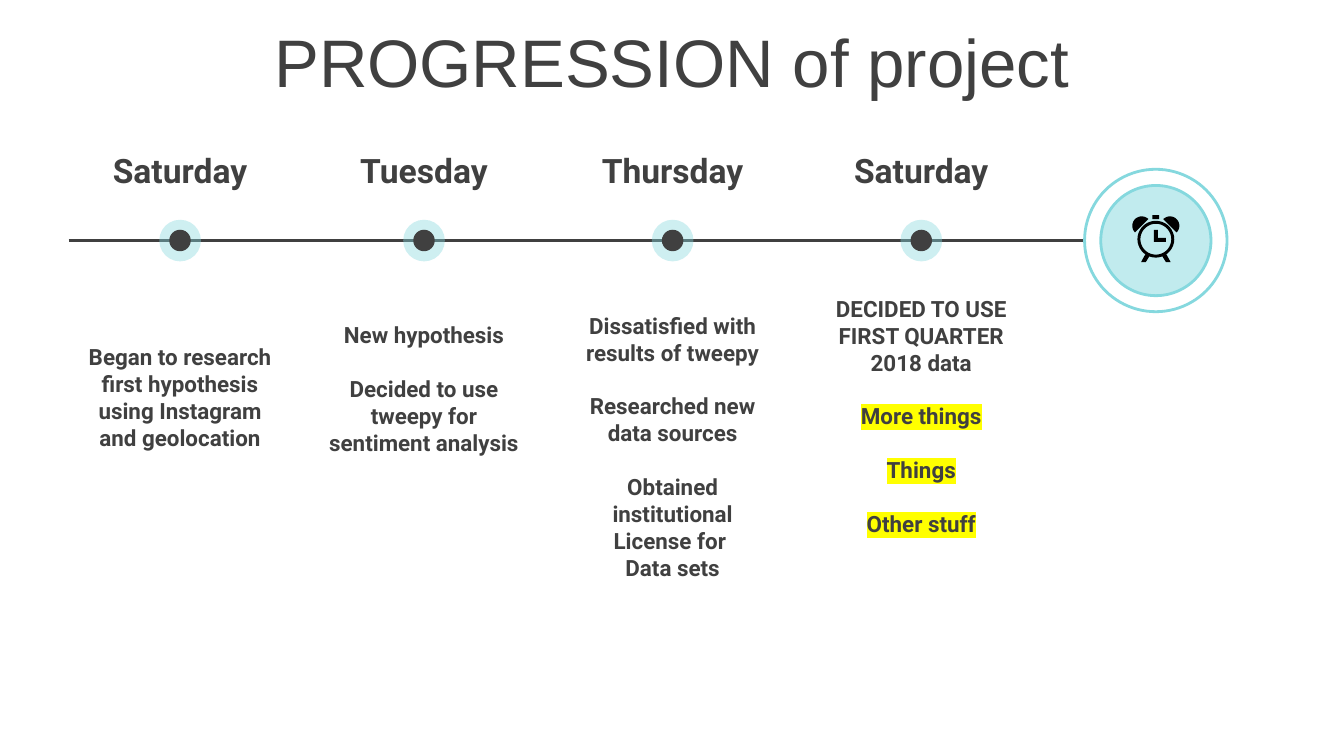
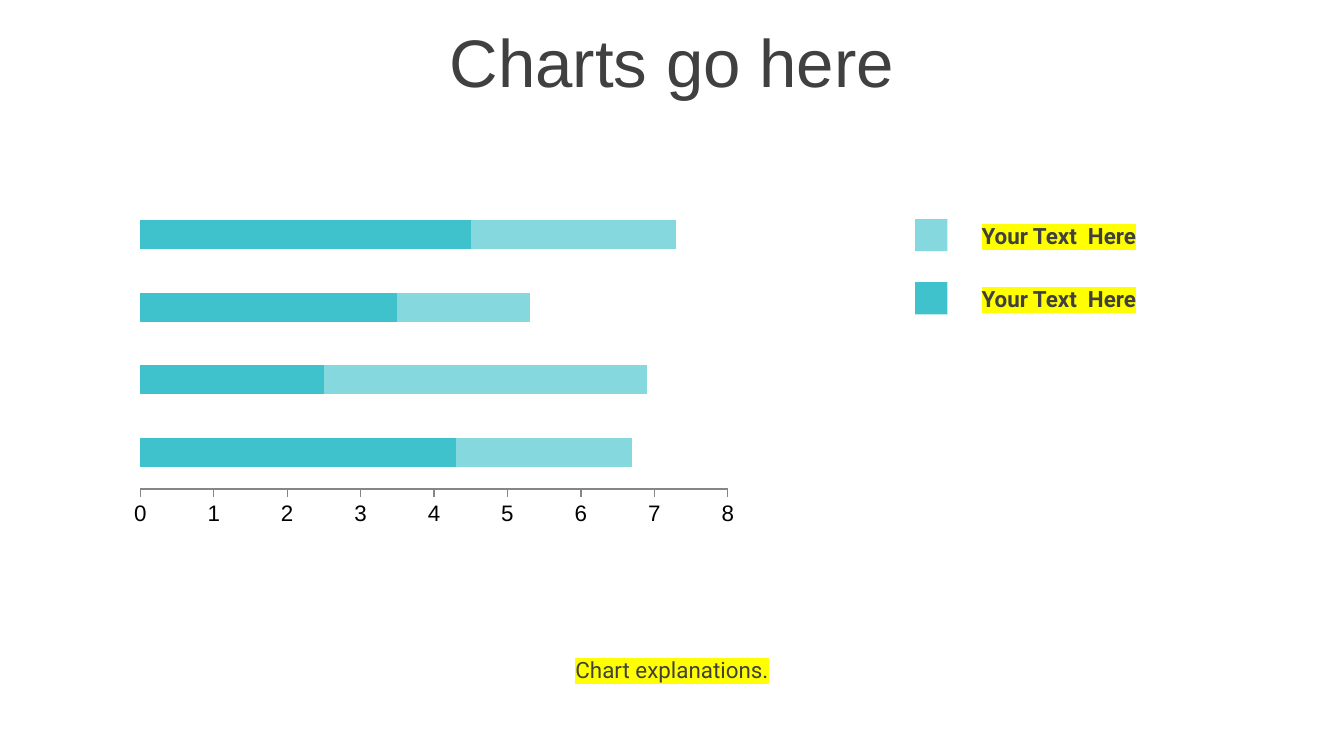
from dataclasses import dataclass
from math import cos, radians, sin

from lxml.etree import SubElement
from pptx import Presentation
from pptx.chart.data import CategoryChartData
from pptx.dml.color import RGBColor
from pptx.enum.chart import XL_CHART_TYPE, XL_TICK_MARK
from pptx.enum.shapes import MSO_CONNECTOR, MSO_SHAPE
from pptx.enum.text import MSO_ANCHOR, MSO_AUTO_SIZE, PP_ALIGN
from pptx.oxml.ns import qn
from pptx.util import Inches, Pt


@dataclass(frozen=True)
class Theme:
    ink: str = "404040"
    light: str = "85D8DE"
    strong: str = "3FC2CB"
    paper: str = "FFFFFF"
    icon: str = "000000"
    axis: str = "868686"
    marker: str = "FFFF00"
    title_font: str = "Arial"
    text_font: str = "Roboto"
    title_size: int = 36
    heading_size: int = 18
    text_size: int = 12
    blank_line: float = 14.4


def rgb(color):
    return RGBColor.from_string(color)


def grid(*cells):
    return [Inches(cell / 10) for cell in cells]


def arc(center_x, center_y, radius, start=0, end=360):
    angles = [radians(start + (end - start) * step / 36) for step in range(37)]
    return [(center_x + radius * cos(a), center_y + radius * sin(a)) for a in angles]


class Composer:
    """Draws styled elements on the current slide, on a grid of 100 columns and 56.25 rows."""

    def __init__(self, theme):
        self.theme = theme
        self.deck = Presentation()
        self.deck.slide_width, self.deck.slide_height = grid(100, 56.25)
        self.page = None

    def new_page(self, title):
        self.page = self.deck.slides.add_slide(self.deck.slide_layouts[5])
        box = self.page.shapes.title
        box.left, box.top, box.width, box.height = grid(0, 1.35, 100, 6.3)
        frame = box.text_frame
        frame.text = title
        frame.auto_size = MSO_AUTO_SIZE.NONE
        frame.vertical_anchor = MSO_ANCHOR.MIDDLE
        para = frame.paragraphs[0]
        para.alignment = PP_ALIGN.CENTER
        self.style(para.font, self.theme.title_size, self.theme.title_font)

    def style(self, font, size, name, bold=False, color=None):
        font.size, font.name, font.bold = Pt(size), name, bold
        font.color.rgb = rgb(color or self.theme.ink)

    def text(self, area, lines, size=None, bold=True, align=PP_ALIGN.CENTER, marked=(), spaced=()):
        frame = self.page.shapes.add_textbox(*grid(*area)).text_frame
        frame.word_wrap = True
        frame.vertical_anchor = MSO_ANCHOR.MIDDLE
        for index, line in enumerate(lines):
            para = frame.paragraphs[0] if index == 0 else frame.add_paragraph()
            para.alignment = align
            if index in spaced:
                para.space_before = Pt(self.theme.blank_line)
            self.style(para.font, size or self.theme.text_size, self.theme.text_font, bold)
            span = para.add_run()
            span.text = line
            if index in marked:
                highlight = SubElement(span._r.get_or_add_rPr(), qn("a:highlight"))
                SubElement(highlight, qn("a:srgbClr")).set("val", self.theme.marker)

    def paint(self, shape, fill, outline=None, opacity=100):
        shape.shadow.inherit = False
        shape.fill.solid()
        shape.fill.fore_color.rgb = rgb(fill)
        if opacity < 100:
            color = shape._element.spPr.find(f"{qn('a:solidFill')}/{qn('a:srgbClr')}")
            SubElement(color, qn("a:alpha")).set("val", str(opacity * 1000))
        if outline:
            shape.line.color.rgb = rgb(outline)
            shape.line.width = Pt(1.5)
        else:
            shape.line.fill.background()

    def square(self, left, top, side, fill):
        box = self.page.shapes.add_shape(MSO_SHAPE.RECTANGLE, *grid(left, top, side, side))
        self.paint(box, fill)

    def disc(self, center_x, center_y, size, fill, outline=None, opacity=100):
        area = grid(center_x - size / 2, center_y - size / 2, size, size)
        self.paint(self.page.shapes.add_shape(MSO_SHAPE.OVAL, *area), fill, outline, opacity)

    def line(self, start, end, row):
        ends = grid(start, row, end, row)
        line = self.page.shapes.add_connector(MSO_CONNECTOR.STRAIGHT, *ends)
        line.line.color.rgb = rgb(self.theme.ink)
        line.line.width = Pt(2)
        SubElement(line._element.spPr, qn("a:effectLst"))

    def outline(self, contours, fill):
        contours = [[grid(*point) for point in contour] for contour in contours]
        builder = self.page.shapes.build_freeform(*contours[0][0])
        for index, contour in enumerate(contours):
            if index:
                builder.move_to(*contour[0])
            builder.add_line_segments(contour[1:], close=True)
        self.paint(builder.convert_to_shape(), fill)

    def stacked_bars(self, area, categories, series):
        theme = self.theme
        data = CategoryChartData()
        data.categories = categories
        for name, values, _ in series:
            data.add_series(name, values)
        chart = self.page.shapes.add_chart(XL_CHART_TYPE.BAR_STACKED, *grid(*area), data).chart
        chart.has_legend = chart.has_title = False
        self.style(chart.font, theme.heading_size, theme.text_font, color=theme.icon)
        chart.category_axis.visible = False
        axis = chart.value_axis
        axis.has_major_gridlines = False
        axis.minimum_scale, axis.maximum_scale, axis.major_unit = 0, 8, 1
        axis.major_tick_mark = XL_TICK_MARK.OUTSIDE
        axis.format.line.color.rgb = rgb(theme.axis)
        self.style(axis.tick_labels.font, theme.text_size, theme.title_font, color=theme.icon)
        plot = chart.plots[0]
        plot.gap_width, plot.overlap, plot.vary_by_categories = 150, 100, False
        for bars, (_, _, color) in zip(plot.series, series):
            bars.format.fill.solid()
            bars.format.fill.fore_color.rgb = rgb(color)


def draw_clock(composer, center):
    contours = [arc(center, 17.8, 1.37), arc(center, 17.8, 1.15)]
    contours.append([(center + x, y) for x, y in (
        (-0.15, 17.1), (0.15, 17.1), (0.15, 17.7), (0.75, 17.7), (0.75, 18), (-0.15, 18))])
    contours.append([(center + x, y) for x, y in (
        (-0.25, 16), (0.25, 16), (0.25, 16.3), (-0.25, 16.3))])
    leg = [(0.8, 18.95), (1.1, 19.5), (0.75, 19.5), (0.5, 19.1)]
    bell = arc(1.05, 16.8, 0.7, -135, 45)
    for side in (-1, 1):
        contours += [[(center + side * x, y) for x, y in part] for part in (leg, bell)]
    composer.outline(contours, composer.theme.icon)


def draw_timeline(composer):
    theme, row, badge = composer.theme, 17.9, 86
    stops = [
        (13.4, "Saturday", 20.95, 16.3, 17.2,
         ["Began to research first hypothesis using Instagram and geolocation"], (), ()),
        (31.55, "Tuesday", 20.3, 16.3, 17.2,
         ["New hypothesis", "Decided to use tweepy for sentiment analysis"], (), (1,)),
        (50.05, "Thursday", 20.55, 16.5, 25.3,
         ["Dissatisfied with results of tweepy", "Researched new data sources",
          "Obtained institutional", "License for ", "Data sets"], (), (1, 2)),
        (68.55, "Saturday", 20.35, 15.3, 21.2,
         ["DECIDED TO USE FIRST QUARTER 2018 data", "More things", "Things", "Other stuff"],
         (1, 2, 3), (1, 2, 3)),
    ]
    composer.new_page("PROGRESSION of project")
    composer.line(5.1, 82.9, row)
    composer.disc(badge, row, 10.6, theme.paper, theme.light)
    composer.disc(badge, row, 8.2, theme.light, theme.light, 50)
    draw_clock(composer, badge)
    for center, day, top, width, height, lines, marked, spaced in stops:
        composer.disc(center, row, 3.1, theme.light, opacity=40)
        composer.disc(center, row, 1.6, theme.ink)
        composer.text((center - 9, 10.65, 18, 4), [day], theme.heading_size)
        composer.text((center - width / 2, top, width, height), lines,
                      marked=marked, spaced=spaced)


def draw_chart(composer):
    theme = composer.theme
    composer.new_page("Charts go here")
    composer.stacked_bars((9.05, 14.25, 46.5, 25.4), ["1", "2", "3", "4"], [
        ("Series 1", (4.3, 2.5, 3.5, 4.5), theme.strong),
        ("Series 2", (2.4, 4.4, 1.8, 2.8), theme.light),
    ])
    for index, color in enumerate((theme.light, theme.strong)):
        top = 16.3 + 4.7 * index
        composer.square(68.1, top, 2.4, color)
        composer.text((72.05, top - 0.25, 20.3, 3), ["Your Text  Here"],
                      align=PP_ALIGN.LEFT, marked=(0,))
    composer.text((28.55, 48.35, 42.9, 3), ["Chart explanations."], bold=False, marked=(0,))


def main():
    composer = Composer(Theme())
    draw_timeline(composer)
    draw_chart(composer)
    composer.deck.save("out.pptx")


if __name__ == "__main__":
    main()
